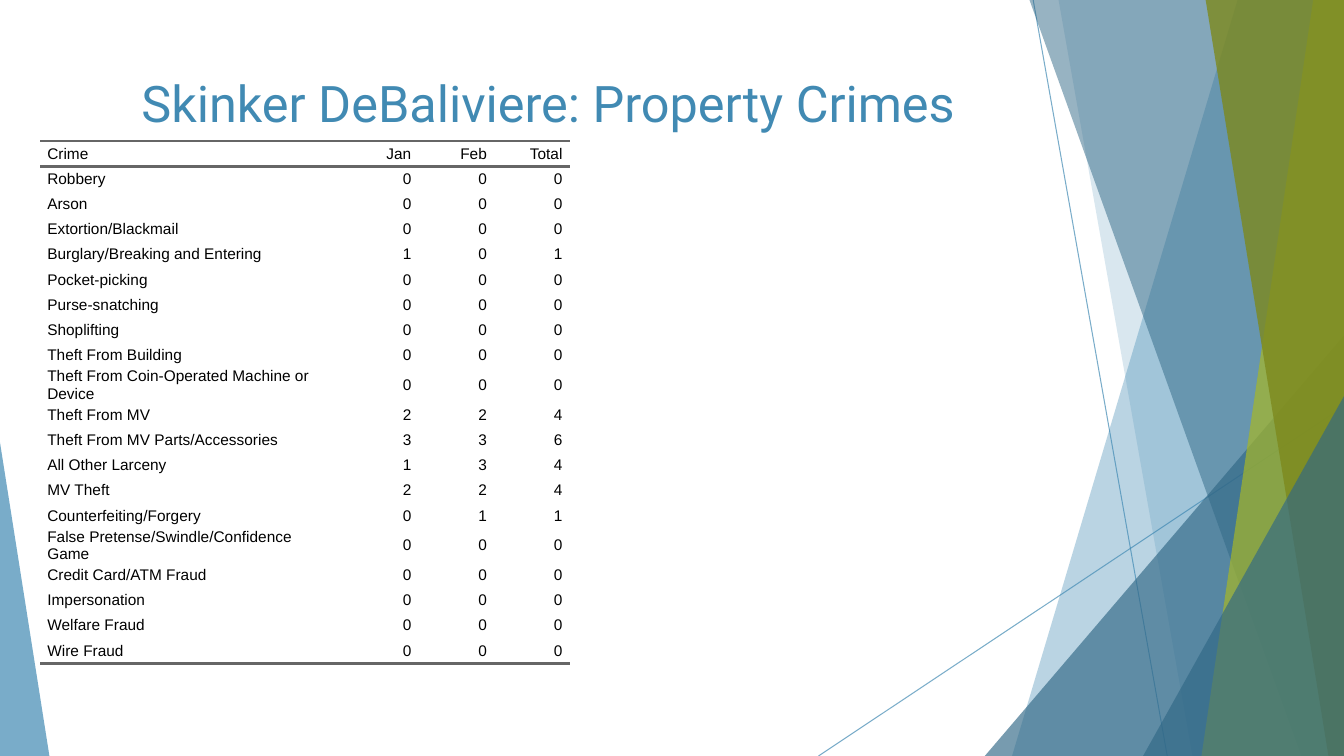
from pptx import Presentation
from pptx.dml.color import RGBColor
from pptx.enum.shapes import MSO_CONNECTOR, MSO_SHAPE
from pptx.enum.text import MSO_ANCHOR, PP_ALIGN
from pptx.oxml.ns import qn
from pptx.util import Pt
from lxml import etree

STRAIGHT = MSO_CONNECTOR.STRAIGHT
TRIANGLE = MSO_SHAPE.ISOSCELES_TRIANGLE
TOP, MIDDLE = MSO_ANCHOR.TOP, MSO_ANCHOR.MIDDLE
LEFT, CENTER, RIGHT = PP_ALIGN.LEFT, PP_ALIGN.CENTER, PP_ALIGN.RIGHT

COLORS = {
    "blue": "418AB3",
    "dark_blue": "316886",
    "green": "A6B727",
    "dark_green": "7D891D",
    "rule": "666666",
    "text": "000000",
}
WIDTH, HEIGHT = 960, 540
BLEED = -0.72
NO_TABLE_STYLE = "{2D5ABB26-0587-4C30-8999-92F81FD0307C}"

HEADINGS = ("Crime", "Jan", "Feb", "Total")
CRIMES = [
    ("Robbery", 0, 0),
    ("Arson", 0, 0),
    ("Extortion/Blackmail", 0, 0),
    ("Burglary/Breaking and Entering", 1, 0),
    ("Pocket-picking", 0, 0),
    ("Purse-snatching", 0, 0),
    ("Shoplifting", 0, 0),
    ("Theft From Building", 0, 0),
    ("Theft From Coin-Operated Machine or Device", 0, 0),
    ("Theft From MV", 2, 2),
    ("Theft From MV Parts/Accessories", 3, 3),
    ("All Other Larceny", 1, 3),
    ("MV Theft", 2, 2),
    ("Counterfeiting/Forgery", 0, 1),
    ("False Pretense/Swindle/Confidence Game", 0, 0),
    ("Credit Card/ATM Fraud", 0, 0),
    ("Impersonation", 0, 0),
    ("Welfare Fraud", 0, 0),
    ("Wire Fraud", 0, 0),
]


def rgb(color):
    return RGBColor.from_string(COLORS[color])


def set_opacity(shape, percent):
    color = next(shape.element.spPr.iter(qn("a:srgbClr")))
    etree.SubElement(color, qn("a:alpha"), val=str(percent * 1000))


def paint(shape, color, opacity):
    shape.shadow.inherit = False
    shape.fill.solid()
    shape.fill.fore_color.rgb = rgb(color)
    shape.line.fill.background()
    set_opacity(shape, opacity)


def add_hairline(slide, x1, y1, x2, y2):
    hairline = slide.shapes.add_connector(STRAIGHT, Pt(x1), Pt(y1), Pt(x2), Pt(y2))
    hairline.line.color.rgb = rgb("blue")
    hairline.line.width = Pt(0.75)
    set_opacity(hairline, 70)
    etree.SubElement(hairline.element.spPr, qn("a:effectLst"))


def add_panel(slide, top_x, bottom_x, color, opacity):
    """Band from a slanted left edge to the right edge of the slide."""
    outline = slide.shapes.build_freeform(Pt(top_x), Pt(BLEED))
    corners = [(WIDTH, BLEED), (WIDTH, HEIGHT), (bottom_x, HEIGHT)]
    outline.add_line_segments([(Pt(x), Pt(y)) for x, y in corners], close=True)
    paint(outline.convert_to_shape(), color, opacity)


def add_corner(slide, left, right, top, apex, color, opacity):
    """Triangle standing on the bottom edge of the slide."""
    corner = slide.shapes.add_shape(
        TRIANGLE, Pt(left), Pt(top), Pt(right - left), Pt(HEIGHT - top))
    corner.adjustments[0] = apex
    paint(corner, color, opacity)


def add_run(paragraph, text, font, size, color):
    run = paragraph.add_run()
    run.text = text
    run.font.name = font
    run.font.size = Pt(size)
    run.font.color.rgb = rgb(color)


def add_rule(cell, side):
    rule = etree.SubElement(
        cell._tc.get_or_add_tcPr(), qn("a:" + side), w=str(Pt(2)))
    fill = etree.SubElement(rule, qn("a:solidFill"))
    etree.SubElement(fill, qn("a:srgbClr"), val=COLORS["rule"])


def fill_cell(cell, text, align, rules):
    for side in rules:
        add_rule(cell, side)
    cell.fill.background()
    cell.margin_left = cell.margin_right = cell.margin_top = cell.margin_bottom = 0
    cell.vertical_anchor = MIDDLE
    paragraph = cell.text_frame.paragraphs[0]
    paragraph.alignment = align
    indents = paragraph._p.get_or_add_pPr()
    indents.set("marL", str(Pt(5)))
    indents.set("marR", str(Pt(5)))
    add_run(paragraph, text, "Arial", 11, "text")


def add_crime_table(slide):
    rows = [HEADINGS] + [(name, jan, feb, jan + feb) for name, jan, feb in CRIMES]
    widths, row_height = (216, 54, 54, 54), 18
    frame = slide.shapes.add_table(
        len(rows), len(widths), Pt(28.8), Pt(100.8),
        Pt(sum(widths)), Pt(row_height * len(rows)))
    next(frame.element.iter(qn("a:tableStyleId"))).text = NO_TABLE_STYLE
    table = frame.table
    table.horz_banding = False
    for column, width in zip(table.columns, widths):
        column.width = Pt(width)
    rules = {0: ("lnT", "lnB"), len(rows) - 1: ("lnB",)}
    for r, values in enumerate(rows):
        for c, value in enumerate(values):
            fill_cell(table.cell(r, c), str(value), RIGHT if c else LEFT,
                      rules.get(r, ()))


def add_title(slide, text):
    title = slide.shapes.title
    title.left, title.top = Pt(53.28), Pt(48.24)
    title.width, title.height = Pt(676.8), Pt(103.68)
    title.text_frame.vertical_anchor = TOP
    title.text_frame.word_wrap = True
    paragraph = title.text_frame.paragraphs[0]
    paragraph.alignment = CENTER
    add_run(paragraph, text, "Roboto", 36, "blue")
    # Bring the title in front of the table
    title.element.getparent().append(title.element)


def main():
    prs = Presentation()
    prs.slide_width, prs.slide_height = Pt(WIDTH), Pt(HEIGHT)
    slide = prs.slides.add_slide(prs.slide_layouts[5])

    # Facet decoration, back to front
    add_hairline(slide, 738, 0, 833.76, HEIGHT)
    add_hairline(slide, WIDTH, 290.16, 584.64, HEIGHT)
    add_panel(slide, 884.16, 722.88, "blue", 36)
    add_panel(slide, 756, 851.76, "blue", 20)
    add_corner(slide, 703.44, WIDTH, 239.76, 1, "dark_blue", 66)
    add_panel(slide, 735.12, 929.52, "dark_blue", 50)
    add_panel(slide, 938.16, 858.24, "green", 70)
    add_panel(slide, 861.12, 948.96, "dark_green", 80)
    add_corner(slide, 816.48, WIDTH, 282.96, 1, "dark_blue", 66)
    add_corner(slide, 0, 35.28, 316.08, 0, "blue", 70)

    # Content
    add_crime_table(slide)
    add_title(slide, "Skinker DeBaliviere: Property Crimes")
    prs.save("out.pptx")


if __name__ == "__main__":
    main()
